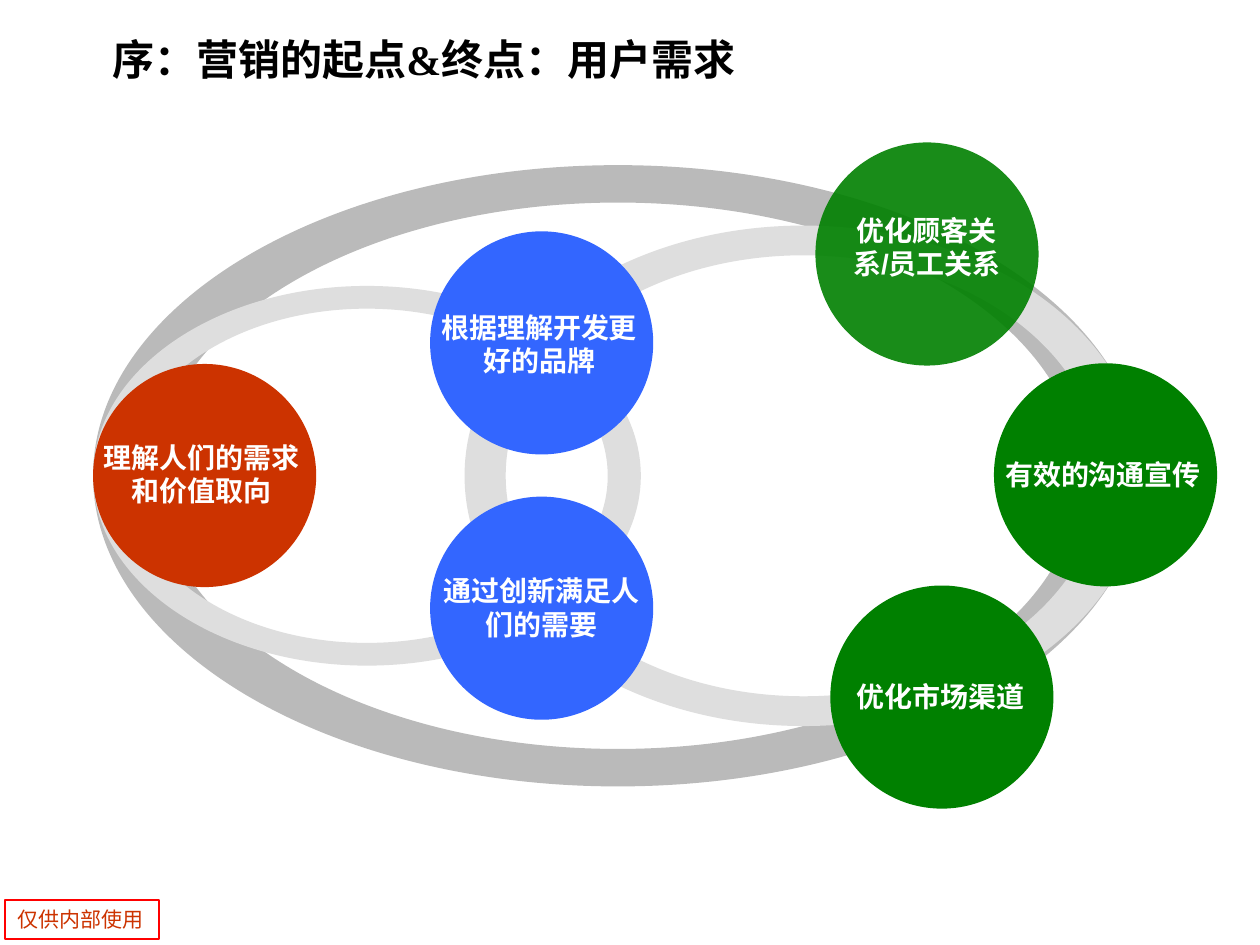
from lxml import etree
from pptx import Presentation
from pptx.dml.color import RGBColor
from pptx.enum.shapes import MSO_SHAPE
from pptx.enum.text import MSO_ANCHOR, MSO_AUTO_SIZE, PP_ALIGN
from pptx.oxml.ns import qn
from pptx.util import Pt

OVAL, RECTANGLE = MSO_SHAPE.OVAL, MSO_SHAPE.RECTANGLE
MIDDLE = MSO_ANCHOR.MIDDLE
CENTER, LEFT = PP_ALIGN.CENTER, PP_ALIGN.LEFT
NO_AUTOFIT = MSO_AUTO_SIZE.NONE
CHINESE_FONT = "Noto Sans CJK SC"
DIAMETER = 127.5
ARC = 0.5523  # Bezier handle length for a quarter ellipse
GREEN, BLUE, RED = "008000", "3366FF", "CC3300"


def write_text(shape, text, font_name, size, color, bold, alignment):
    frame = shape.text_frame
    frame.word_wrap = True
    frame.auto_size = NO_AUTOFIT
    frame.vertical_anchor = MIDDLE
    paragraph = frame.paragraphs[0]
    paragraph.alignment = alignment
    run = paragraph.add_run()
    run.text = text
    run.font.name = font_name
    run.font.size = Pt(size)
    run.font.bold = bold
    run.font.color.rgb = RGBColor.from_string(color)
    east_asian = etree.SubElement(run.font._element, qn("a:ea"))
    east_asian.set("typeface", CHINESE_FONT)


def paint(shape, color):
    """Give a shape a plain fill without outline or shadow."""
    shape.shadow.inherit = False
    shape.fill.solid()
    shape.fill.fore_color.rgb = RGBColor.from_string(color)
    shape.line.fill.background()


presentation = Presentation()
presentation.slide_width, presentation.slide_height = Pt(720), Pt(540)
slide = presentation.slides.add_slide(presentation.slide_layouts[5])

title = slide.shapes.title
title.left, title.top, title.width, title.height = Pt(57), Pt(6.5), Pt(654), Pt(54)
write_text(title, "序：营销的起点&终点：用户需求", "Times New Roman", 24, "000000", True, LEFT)

notice = slide.shapes.add_shape(RECTANGLE, Pt(2.9), Pt(514.1), Pt(87.8), Pt(22.3))
notice.shadow.inherit = False
notice.fill.background()
notice.line.color.rgb = RGBColor.from_string("FF0000")
notice.line.width = Pt(1)
write_text(notice, "仅供内部使用", CHINESE_FONT, 12, RED, False, LEFT)

# All rings share one horizontal axis:
# left, width, height, rim at the sides, rim at top and bottom
AXIS = 271.9
rings = [
    (53.2, 599.8, 355, 36, 21.4, "BABABA"),
    (265.5, 387.5, 286, 23.5, 17, "DEDEDE"),
    (53.2, 313, 217, 18.9, 13, "DEDEDE"),
]
# For each ring: circle left and top, opacity, text, font, label left, top, width, height
ring_circles = [
    [],
    [
        (466, 81.4, GREEN, 90, "优化顾客关系/员工关系", "Arial", (467.3, 118.1, 124.6, 46.1)),
        (568, 207.6, GREEN, 100, "有效的沟通宣传", "Arial", (559.4, 257.8, 141.8, 26.6)),
        (474.5, 334.6, GREEN, 100, "优化市场渠道", "Arial", (473, 384.5, 128.9, 26.6)),
    ],
    [
        (53.2, 208, RED, 100, "理解人们的需求和价值取向", "League Spartan", (44.3, 247.7, 141.8, 46.1)),
        (245.8, 132.2, BLUE, 100, "根据理解开发更好的品牌", "Arial", (244.4, 173.5, 127.6, 46.1)),
        (245.8, 283.8, BLUE, 100, "通过创新满足人们的需要", "League Spartan", (244.6, 324, 129.6, 46.1)),
    ],
]
for ring, circles in zip(rings, ring_circles):
    left, width, height, side_rim, top_rim, ring_color = ring
    shapes = slide.shapes.add_group_shape().shapes if circles else slide.shapes
    center = left + width / 2

    # Quarter points of both outlines; the inner one runs the other way round
    builder = shapes.build_freeform(Pt(left + width), Pt(AXIS))
    for radius_x, radius_y in [
        (width / 2, -height / 2),
        (width / 2 - side_rim, height / 2 - top_rim),
    ]:
        quarters = [(1, 0), (0, 1), (-1, 0), (0, -1), (1, 0)]
        points = [(Pt(center + x * radius_x), Pt(AXIS + y * radius_y)) for x, y in quarters]
        if radius_y > 0:
            builder.move_to(*points[0])
        builder.add_line_segments(points[1:], close=True)
    ring_shape = builder.convert_to_shape()
    paint(ring_shape, ring_color)

    # Bend each straight segment into a quarter ellipse
    outline = ring_shape._element.spPr.find(".//" + qn("a:path"))
    for segment in list(outline):
        if segment.tag == qn("a:close"):
            continue
        end_x, end_y = int(segment[0].get("x")), int(segment[0].get("y"))
        if segment.tag == qn("a:moveTo"):
            vertical = True
        else:
            corner_x, corner_y = (start_x, end_y) if vertical else (end_x, start_y)
            curve = etree.Element(qn("a:cubicBezTo"))
            for x, y in [
                (start_x + ARC * (corner_x - start_x), start_y + ARC * (corner_y - start_y)),
                (end_x + ARC * (corner_x - end_x), end_y + ARC * (corner_y - end_y)),
                (end_x, end_y),
            ]:
                etree.SubElement(curve, qn("a:pt"), x=str(round(x)), y=str(round(y)))
            outline.replace(segment, curve)
            vertical = not vertical
        start_x, start_y = end_x, end_y

    for circle_left, top, color, opacity, text, font_name, label_box in circles:
        circle = shapes.add_shape(OVAL, Pt(circle_left), Pt(top), Pt(DIAMETER), Pt(DIAMETER))
        paint(circle, color)
        if opacity < 100:
            fill_color = circle._element.spPr.find(qn("a:solidFill"))[0]
            etree.SubElement(fill_color, qn("a:alpha")).set("val", str(opacity * 1000))
        label = shapes.add_textbox(*[Pt(length) for length in label_box])
        write_text(label, text, font_name, 16, "FFFFFF", True, CENTER)

presentation.save("out.pptx")
